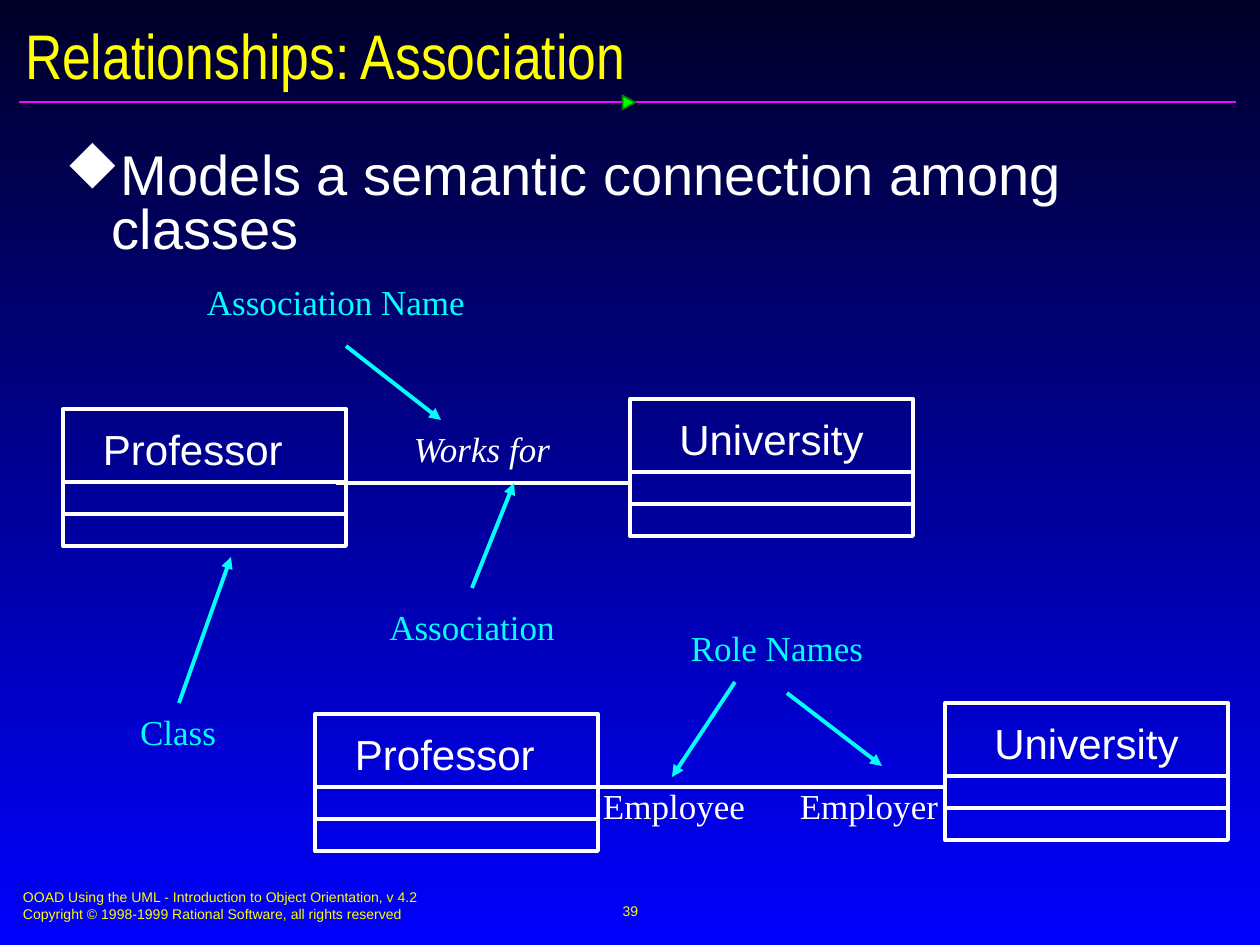
from dataclasses import dataclass

from lxml import etree
from pptx import Presentation
from pptx.dml.color import RGBColor
from pptx.enum.shapes import MSO_CONNECTOR, MSO_SHAPE
from pptx.enum.text import MSO_ANCHOR, PP_ALIGN
from pptx.oxml.ns import qn
from pptx.util import Pt

STRAIGHT = MSO_CONNECTOR.STRAIGHT
RECTANGLE = MSO_SHAPE.RECTANGLE
TRIANGLE = MSO_SHAPE.ISOSCELES_TRIANGLE
TOP, MIDDLE = MSO_ANCHOR.TOP, MSO_ANCHOR.MIDDLE
LEFT, CENTER, RIGHT = PP_ALIGN.LEFT, PP_ALIGN.CENTER, PP_ALIGN.RIGHT
EMU_PER_PX = 914400 / 126


@dataclass(frozen=True)
class Theme:
    night: str = "000028"
    blue: str = "0000FF"
    white: str = "FFFFFF"
    yellow: str = "FFFF00"
    cyan: str = "00FFFF"
    magenta: str = "FF01FF"
    green: str = "00FF00"
    dark_green: str = "037C03"
    sans: str = "Arial"
    narrow: str = "Arial Narrow"
    serif: str = "Times New Roman"
    symbols: str = "Wingdings"
    diamond: str = "u"
    title_size: int = 36
    body_size: int = 32
    class_size: int = 24
    label_size: int = 20
    footer_size: int = 8
    rule_width: int = 1
    line_width: float = 2.25


THEME = Theme()


def px(length):
    return round(length * EMU_PER_PX)


def rgb(value):
    return RGBColor.from_string(value)


def set_font(paragraph, face, size, color, italic=False):
    font = paragraph.font
    font.name = face
    font.size = Pt(size)
    font.color.rgb = rgb(color)
    font.bold = False
    font.italic = italic


def set_frame(frame, anchor=TOP, inset=(13, 6), wrap=True):
    frame.word_wrap = wrap
    frame.vertical_anchor = anchor
    frame.margin_left = frame.margin_right = px(inset[0])
    frame.margin_top = frame.margin_bottom = px(inset[1])


def add_text(slide, box, lines, face, size, color, align=LEFT, italic=False, **frame_options):
    frame = slide.shapes.add_textbox(*map(px, box)).text_frame
    set_frame(frame, **frame_options)
    frame.text = "\n".join(lines)
    for paragraph in frame.paragraphs:
        paragraph.alignment = align
        set_font(paragraph, face, size, color, italic)


def add_label(slide, text, left, top, width=294, color=THEME.cyan, align=CENTER, italic=False):
    add_text(slide, (left, top, width, 57), [text], THEME.serif, THEME.label_size,
             color, align, italic, inset=(15, 7))


def add_line(slide, start, end, color=THEME.white, width=THEME.line_width, arrow=False):
    connector = slide.shapes.add_connector(STRAIGHT, *map(px, start + end))
    connector.line.color.rgb = rgb(color)
    connector.line.width = Pt(width)
    properties = connector.element.spPr
    if arrow:
        etree.SubElement(properties.find(qn("a:ln")), qn("a:tailEnd"), type="triangle")
    etree.SubElement(properties, qn("a:effectLst"))


def add_class(slide, name, left, top, align):
    width, height = 283, 137
    outline = slide.shapes.add_shape(RECTANGLE, *map(px, (left, top, width, height)))
    outline.shadow.inherit = False
    outline.fill.background()
    outline.line.color.rgb = rgb(THEME.white)
    outline.line.width = Pt(THEME.line_width)
    add_text(slide, (left + 27, top + 9, 229, 63), [name], THEME.sans,
             THEME.class_size, THEME.white, align)
    for divider in (73, 105):
        add_line(slide, (left, top + divider), (left + width, top + divider))


def set_background(slide):
    fill = slide.background.fill
    fill.gradient()
    fill.gradient_angle = 270
    for stop, color in zip(fill.gradient_stops, (THEME.night, THEME.blue)):
        stop.color.rgb = rgb(color)


def set_title(slide, text):
    title = slide.shapes.title
    title.left, title.top, title.width, title.height = map(px, (12, 18, 1240, 73))
    title.text = text
    set_frame(title.text_frame, MIDDLE)
    heading = title.text_frame.paragraphs[0]
    heading.alignment = LEFT
    set_font(heading, THEME.narrow, THEME.title_size, THEME.yellow)


def add_header_rule(slide):
    add_line(slide, (19, 102), (1236, 102), THEME.magenta, THEME.rule_width)
    marker = slide.shapes.add_shape(TRIANGLE, *map(px, (622, 96, 14, 13)))
    marker.rotation = 90
    marker.shadow.inherit = False
    marker.fill.solid()
    marker.fill.fore_color.rgb = rgb(THEME.green)
    marker.line.color.rgb = rgb(THEME.dark_green)
    marker.line.width = Pt(THEME.rule_width)


def add_bullet(slide, text):
    frame = slide.shapes.add_textbox(*map(px, (50, 145, 1171, 696))).text_frame
    set_frame(frame, inset=(15, 8))
    statement = frame.paragraphs[0]
    statement.text = text
    statement.line_spacing = 0.8
    properties = statement._p.get_or_add_pPr()
    properties.set("marL", str(px(47)))
    properties.set("indent", str(-px(47)))
    bullet_color = etree.SubElement(properties, qn("a:buClr"))
    etree.SubElement(bullet_color, qn("a:srgbClr"), val=THEME.white)
    etree.SubElement(properties, qn("a:buFont"), typeface=THEME.symbols,
                     pitchFamily="2", charset="2")
    etree.SubElement(properties, qn("a:buChar"), char=THEME.diamond)
    set_font(statement, THEME.sans, THEME.body_size, THEME.white)


def add_footer(slide):
    notice = ["OOAD Using the UML - Introduction to Object Orientation, v 4.2",
              "Copyright © 1998-1999 Rational Software, all rights reserved"]
    style = (THEME.sans, THEME.footer_size, THEME.yellow)
    add_text(slide, (10, 883, 643, 47), notice, *style)
    add_text(slide, (431, 879, 399, 63), ["39"], *style, CENTER, anchor=MIDDLE, wrap=False)


def add_named_association(slide):
    add_class(slide, "Professor", 63, 409, LEFT)
    add_class(slide, "University", 630, 399, CENTER)
    add_line(slide, (336, 483), (630, 483))
    add_label(slide, "Works for", 399, 420, 218, THEME.white, LEFT, italic=True)
    add_label(slide, "Class", 31, 703)
    add_label(slide, "Association", 325, 598)
    add_label(slide, "Association Name", 189, 274)
    for start, end in (((179, 703), (231, 557)),
                       ((472, 588), (514, 483)),
                       ((346, 346), (441, 420))):
        add_line(slide, start, end, THEME.cyan, arrow=True)


def add_role_association(slide):
    add_class(slide, "Professor", 315, 714, LEFT)
    add_class(slide, "University", 945, 703, CENTER)
    add_line(slide, (598, 787), (945, 787))
    add_label(slide, "Employer", 735, 778, 218, THEME.white, RIGHT)
    add_label(slide, "Employee", 588, 778, 218, THEME.white, LEFT)
    add_label(slide, "Role Names", 630, 620)
    for start, end in (((787, 693), (882, 766)), ((735, 682), (672, 777))):
        add_line(slide, start, end, THEME.cyan, arrow=True)


def main():
    presentation = Presentation()
    presentation.slide_width, presentation.slide_height = px(1260), px(945)
    slide = presentation.slides.add_slide(presentation.slide_layouts[5])
    set_background(slide)
    set_title(slide, "Relationships: Association")
    add_header_rule(slide)
    add_bullet(slide, "Models a semantic connection among classes")
    add_footer(slide)
    add_named_association(slide)
    add_role_association(slide)
    presentation.save("out.pptx")


if __name__ == "__main__":
    main()
